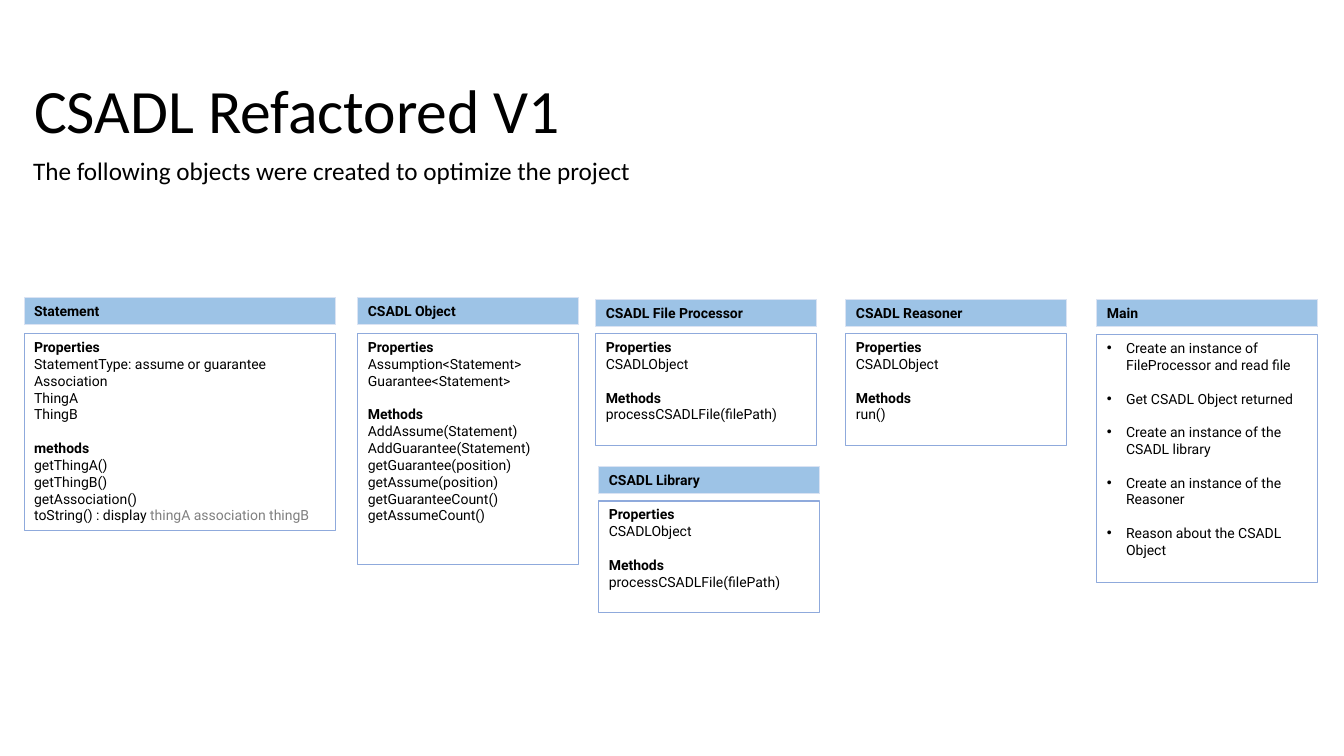
from dataclasses import dataclass

from lxml import etree
from pptx import Presentation
from pptx import util as u
from pptx.dml.color import RGBColor
from pptx.enum import shapes, text
from pptx.oxml.ns import qn

EMU_PER_PX = 9144  # 100 px to the inch
COLOURS = {
    "ink": "000000",
    "muted": "808080",
    "header": "9DC3E6",
    "header_line": "DAE3F3",
    "body_line": "8FAADC",
}
HEADER_HEIGHT = 27
CARD_WIDTH = 219
BULLET_INDENT = 19
SECTION_GAP = u.Pt(12)


@dataclass(frozen=True)
class Section:
    """A bold heading and its members."""
    heading: str
    members: tuple[str, ...]


@dataclass(frozen=True)
class Card:
    name: str
    left: int
    header_top: int
    body_top: int
    body_height: int
    sections: tuple[Section, ...] = ()
    steps: tuple[str, ...] = ()
    width: int = CARD_WIDTH
    muted_ending: str = ""


FILE_SECTIONS = (
    Section("Properties", ("CSADLObject",)),
    Section("Methods", ("processCSADLFile(filePath)",)),
)
CARDS = (
    Card("Statement", 24, 295, 331, 195, (
        Section("Properties", ("StatementType: assume or guarantee",
                               "Association", "ThingA", "ThingB")),
        Section("methods", ("getThingA()", "getThingB()", "getAssociation()",
                            "toString() : display ")),
    ), width=309, muted_ending="thingA association thingB"),
    Card("CSADL Object", 355, 295, 331, 229, (
        Section("Properties", ("Assumption<Statement>", "Guarantee<Statement>")),
        Section("Methods", ("AddAssume(Statement)", "AddGuarantee(Statement)",
                            "getGuarantee(position)", "getAssume(position)",
                            "getGuaranteeCount()", "getAssumeCount()")),
    )),
    Card("CSADL File Processor", 591, 297, 331, 111, FILE_SECTIONS),
    Card("CSADL Library", 594, 463, 497, 111, FILE_SECTIONS),
    Card("CSADL Reasoner", 839, 297, 331, 111, (
        Section("Properties", ("CSADLObject",)),
        Section("Methods", ("run()",)),
    )),
    Card("Main", 1088, 297, 332, 246, steps=(
        "Create an instance of FileProcessor and read file",
        "Get CSADL Object returned",
        "Create an instance of the CSADL library",
        "Create an instance of the Reasoner",
        "Reason about the CSADL Object",
    )),
)


def px(length: int) -> u.Emu:
    return u.Emu(length * EMU_PER_PX)


def rgb(name: str) -> RGBColor:
    return RGBColor.from_string(COLOURS[name])


def add_run(paragraph, words: str, size: int = 10, font: str = "Roboto",
            bold: bool = False, colour: str = "ink") -> None:
    run = paragraph.add_run()
    run.text = words
    run.font.size = u.Pt(size)
    run.font.name = font
    run.font.bold = bold
    run.font.color.rgb = rgb(colour)


def next_paragraph(frame):
    """Return the first paragraph while it is unused, then new ones."""
    first = frame.paragraphs[0]
    paragraph = frame.add_paragraph() if first.runs else first
    paragraph.alignment = text.PP_ALIGN.LEFT
    return paragraph


def add_bullet(paragraph) -> None:
    properties = paragraph._p.get_or_add_pPr()
    properties.set("marL", str(px(BULLET_INDENT)))
    properties.set("indent", str(-px(BULLET_INDENT)))
    etree.SubElement(properties, qn("a:buFont")).set("typeface", "Arial")
    etree.SubElement(properties, qn("a:buChar")).set("char", "•")


def add_box(slide, left: int, top: int, width: int, height: int,
            line: str, fill: str | None = None):
    """Draw a rectangle and return its text frame."""
    box = slide.shapes.add_shape(shapes.MSO_SHAPE.RECTANGLE,
                                 px(left), px(top), px(width), px(height))
    box.shadow.inherit = False
    if fill:
        box.fill.solid()
        box.fill.fore_color.rgb = rgb(fill)
    else:
        box.fill.background()
    box.line.color.rgb = rgb(line)
    box.line.width = u.Pt(0.75)
    frame = box.text_frame
    frame.word_wrap = True
    frame.vertical_anchor = text.MSO_ANCHOR.TOP
    return frame


def add_card(slide, card: Card) -> None:
    header = add_box(slide, card.left, card.header_top, card.width,
                     HEADER_HEIGHT, "header_line", "header")
    add_run(next_paragraph(header), card.name, bold=True)

    body = add_box(slide, card.left, card.body_top, card.width,
                   card.body_height, "body_line")
    for index, section in enumerate(card.sections):
        heading = next_paragraph(body)
        if index:
            heading.space_before = SECTION_GAP
        add_run(heading, section.heading, bold=True)
        for member in section.members:
            add_run(next_paragraph(body), member)
    if card.muted_ending:
        add_run(body.paragraphs[-1], card.muted_ending, colour="muted")
    for index, step in enumerate(card.steps):
        paragraph = next_paragraph(body)
        if index:
            paragraph.space_before = SECTION_GAP
        add_bullet(paragraph)
        add_run(paragraph, step)


def add_caption(slide, left: int, top: int, width: int, height: int,
                words: str, size: int, spacing: float = 1.0) -> None:
    frame = slide.shapes.add_textbox(px(left), px(top), px(width),
                                     px(height)).text_frame
    frame.word_wrap = True
    frame.vertical_anchor = text.MSO_ANCHOR.MIDDLE
    paragraph = next_paragraph(frame)
    paragraph.line_spacing = spacing
    add_run(paragraph, words, size, "Calibri")


def main() -> None:
    deck = Presentation()
    deck.slide_width, deck.slide_height = px(1333), px(750)
    slide = deck.slides.add_slide(deck.slide_layouts[6])
    add_caption(slide, 24, 40, 1150, 145, "CSADL Refactored V1", 44, 0.9)
    add_caption(slide, 23, 149, 620, 40,
                "The following objects were created to optimize the project", 18)
    for card in CARDS:
        add_card(slide, card)
    deck.save("out.pptx")


if __name__ == "__main__":
    main()
